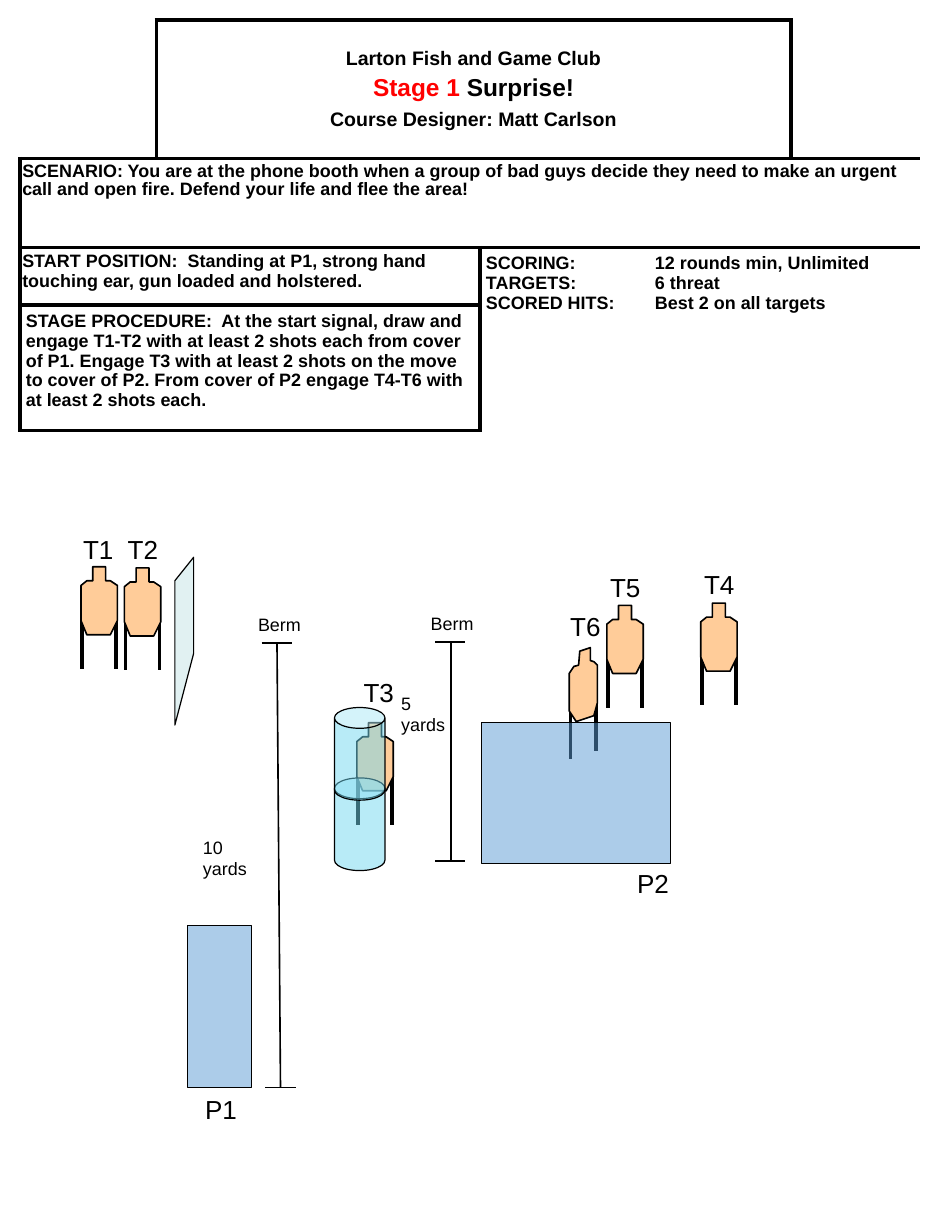
from pptx import Presentation
from pptx.dml.color import RGBColor
from pptx.enum.shapes import MSO_CONNECTOR, MSO_SHAPE
from pptx.enum.text import MSO_ANCHOR, MSO_AUTO_SIZE, PP_ALIGN
from pptx.oxml.ns import qn
from pptx.util import Pt
from lxml.etree import SubElement

SCALE = 9144  # EMU per px, 100 px to the inch
BLACK, WHITE, RED = "000000", "FFFFFF", "FF0000"
SKIN, BLUE, GLASS, AQUA = "FFCC99", "5B9BD5", "BBE0E3", "73D9F1"
FRONT = [(10, 0), (21, 0), (21, 12), (25, 12), (31, 16), (31, 46),
         (25, 58), (5, 58), (0, 46), (0, 16), (5, 12), (10, 12)]
TURNED = [(9, 3), (18, 0), (18, 11), (21, 12), (24, 15), (24, 47),
          (21, 58), (6, 63), (0, 54), (0, 22), (4, 16), (8, 15)]


def px(n):
    return int(n * SCALE)


def rgb(code):
    return RGBColor.from_string(code)


def write(frame, *runs, size=11, bold=False, color=BLACK, align=PP_ALIGN.LEFT,
          gap=0, line=None, tab=None):
    """Add a paragraph; a run is a string or a (string, colour) pair."""
    para = frame.paragraphs[0] if not frame.text else frame.add_paragraph()
    if tab:
        tabs = SubElement(para._p.get_or_add_pPr(), qn("a:tabLst"))
        SubElement(tabs, qn("a:tab"), pos=str(px(tab)), algn="l")
    para.alignment = align
    para.space_before = Pt(gap)
    if line:
        para.line_spacing = line
    for item in runs:
        words, tint = item if isinstance(item, tuple) else (item, color)
        run = para.add_run()
        run.text = words
        run.font.name = "Arial"
        run.font.size = Pt(size)
        run.font.bold = bold
        run.font.color.rgb = rgb(tint)


class Stage:
    def __init__(self, slide):
        self.slide = slide
        self.shapes = slide.shapes

    def paint(self, shape, fill, alpha=None, width=0.75):
        shape.shadow.inherit = False
        shape.fill.solid()
        shape.fill.fore_color.rgb = rgb(fill)
        if alpha:
            tint = shape.fill._xPr.find(qn("a:solidFill"))[0]
            SubElement(tint, qn("a:alpha"), val=str(alpha * 1000))
        shape.line.color.rgb = rgb(BLACK)
        shape.line.width = Pt(width)

    def line(self, x1, y1, x2, y2, width=1, shapes=None):
        link = (shapes or self.shapes).add_connector(
            MSO_CONNECTOR.STRAIGHT, px(x1), px(y1), px(x2), px(y2))
        link.line.color.rgb = rgb(BLACK)
        link.line.width = Pt(width)
        SubElement(link._element.spPr, qn("a:effectLst"))

    def shape(self, kind, x, y, w, h, fill, alpha, shapes=None):
        form = (shapes or self.shapes).add_shape(kind, px(x), px(y), px(w), px(h))
        self.paint(form, fill, alpha)
        return form

    def outline(self, points, fill, alpha=None, width=0.75, shapes=None):
        dots = [(px(x), px(y)) for x, y in points]
        pen = (shapes or self.shapes).build_freeform(*dots[0], scale=1.0)
        pen.add_line_segments(dots[1:], close=True)
        self.paint(pen.convert_to_shape(), fill, alpha, width)

    def target(self, x, y, body=FRONT, legs=((1, 43), (30, 43))):
        group = self.shapes.add_group_shape().shapes
        for dx, dy in legs:
            self.line(x + dx, y + dy, x + dx, y + dy + 44, 2.25, group)
        self.outline([(x + dx, y + dy) for dx, dy in body], SKIN, width=1, shapes=group)

    def barrel(self, x, y, w, h, step):
        group = self.shapes.add_group_shape().shapes
        for top in (y + step, y):
            can = self.shape(MSO_SHAPE.CAN, x, top, w, h, AQUA, 50, group)
            can.adjustments[0] = 0.413

    def label(self, words, x, y, w, h, size=16, wrap=False):
        frame = self.slide.shapes.add_textbox(px(x), px(y), px(w), px(h)).text_frame
        frame.word_wrap = wrap
        frame.auto_size = MSO_AUTO_SIZE.SHAPE_TO_FIT_TEXT
        write(frame, words, size=size)

    def grid(self, x, y, cols, rows):
        table = self.shapes.add_table(len(rows), len(cols), px(x), px(y),
                                      px(sum(cols)), px(sum(rows))).table
        table.first_row = table.horz_banding = False
        for col, w in zip(table.columns, cols):
            col.width = px(w)
        for row, h in zip(table.rows, rows):
            row.height = px(h)
        return table

    def edge(self, cell, sides):
        props = cell._tc.get_or_add_tcPr()
        for side in "LRTB":
            ln = SubElement(props, qn("a:ln" + side), w=str(Pt(2.25)))
            if side in sides:
                solid = SubElement(ln, qn("a:solidFill"))
                SubElement(solid, qn("a:srgbClr"), val=BLACK)
            else:
                SubElement(ln, qn("a:noFill"))
        cell.fill.solid()
        cell.fill.fore_color.rgb = rgb(WHITE)

    def area(self, table, top, left, bottom, right, mx=5, my=5, sides="LRTB"):
        """Merge a block of cells, rule its outside, return its text frame."""
        for r in range(top, bottom + 1):
            for c in range(left, right + 1):
                ends = {"L": c == left, "R": c == right, "T": r == top, "B": r == bottom}
                self.edge(table.cell(r, c), [s for s in sides if ends[s]])
        cell = table.cell(top, left)
        if (top, left) != (bottom, right):
            cell.merge(table.cell(bottom, right))
        cell.margin_left = cell.margin_right = px(mx)
        cell.margin_top = cell.margin_bottom = px(my)
        cell.vertical_anchor = MSO_ANCHOR.MIDDLE if top == 0 else MSO_ANCHOR.TOP
        return cell.text_frame


def main():
    deck = Presentation()
    deck.slide_width, deck.slide_height = px(800), px(1050)
    stage = Stage(deck.slides.add_slide(deck.slide_layouts[6]))

    # Targets on the left and the turned one behind P2
    stage.target(485, 552, TURNED, ((1, 51), (23, 44)))
    stage.target(69, 483)
    stage.target(106, 484)

    # P1 cover and the slanted wall
    stage.shape(MSO_SHAPE.RECTANGLE, 160, 789, 54, 138, BLUE, 50)
    stage.outline([(165, 557), (149, 618), (149, 495), (165, 475)], GLASS, 44)

    # Targets on the right, barrel and P2 cover
    stage.target(597, 514)
    stage.target(304, 616)
    stage.barrel(285, 603, 43, 79, 60)
    stage.shape(MSO_SHAPE.RECTANGLE, 410, 616, 161, 120, BLUE, 50)
    stage.target(517, 516)

    # Distance markers
    for x1, x2, top, bottom, shift in ((223, 249, 548, 927, 3), (371, 396, 547, 734, 0)):
        stage.line(x1, top, x2, top)
        stage.line(x1 + shift, bottom, x2 + shift, bottom)
        stage.line(x1 + 13 + shift, bottom, x1 + 13, top)

    # Labels
    for words, x, y in (("T1", 61, 450), ("T2", 99, 450), ("T3", 300, 572),
                        ("T4", 590, 480), ("T5", 510, 482), ("T6", 476, 515)):
        stage.label(words, x, y, 46, 37)
    for words, x, y in (("P1", 165, 927), ("P2", 533, 734)):
        stage.label(words, x, y, 53, 37)
    for words, x, y, h in (("10 yards", 163, 708, 47), ("5 yards", 332, 585, 47),
                           ("Berm", 210, 518, 29), ("Berm", 357, 517, 29)):
        stage.label(words, x, y, 65, h, size=11, wrap=True)

    # Course table
    table = stage.grid(17, 17, [116, 276, 265, 110], [118, 76, 49, 107])
    stage.area(table, 0, 0, 0, 0, sides="RB")
    stage.area(table, 0, 3, 0, 3, sides="LB")
    head = stage.area(table, 0, 1, 0, 2)
    mid = PP_ALIGN.CENTER
    write(head, "Larton Fish and Game Club", size=12, bold=True, align=mid)
    write(head, ("Stage 1", RED), " Surprise!", size=15, bold=True, align=mid, gap=3)
    write(head, "Course Designer: Matt Carlson", size=12, bold=True, align=mid, gap=4.2)

    write(stage.area(table, 1, 0, 1, 3, 2, 4),
          "SCENARIO: You are at the phone booth when a group of bad guys decide they need "
          "to make an urgent call and open fire. Defend your life and flee the area!",
          bold=True, line=0.9)
    write(stage.area(table, 2, 0, 2, 1, 2, 3),
          "START POSITION:  Standing at P1, strong hand touching ear, gun loaded "
          "and holstered.", bold=True)
    score = stage.area(table, 2, 2, 3, 3)
    for words in ("SCORING:\t12 rounds min, Unlimited", "TARGETS:\t6 threat",
                  "SCORED HITS:\tBest 2 on all targets"):
        write(score, words, bold=True, tab=144)
    write(stage.area(table, 3, 0, 3, 1),
          "STAGE PROCEDURE:  At the start signal, draw and engage T1-T2 with at least "
          "2 shots each from cover of P1. Engage T3 with at least 2 shots on the move "
          "to cover of P2. From cover of P2 engage T4-T6 with at least 2 shots each.",
          bold=True)

    deck.save("out.pptx")


if __name__ == "__main__":
    main()
